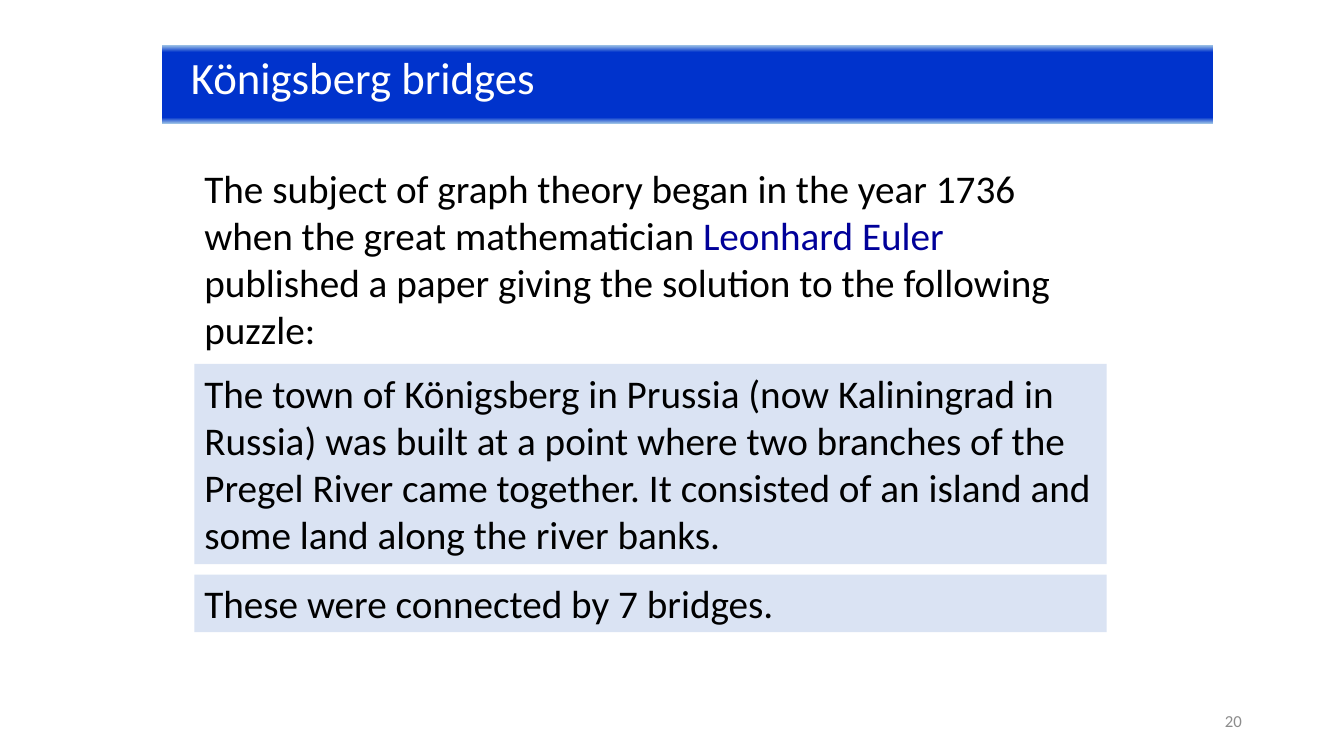
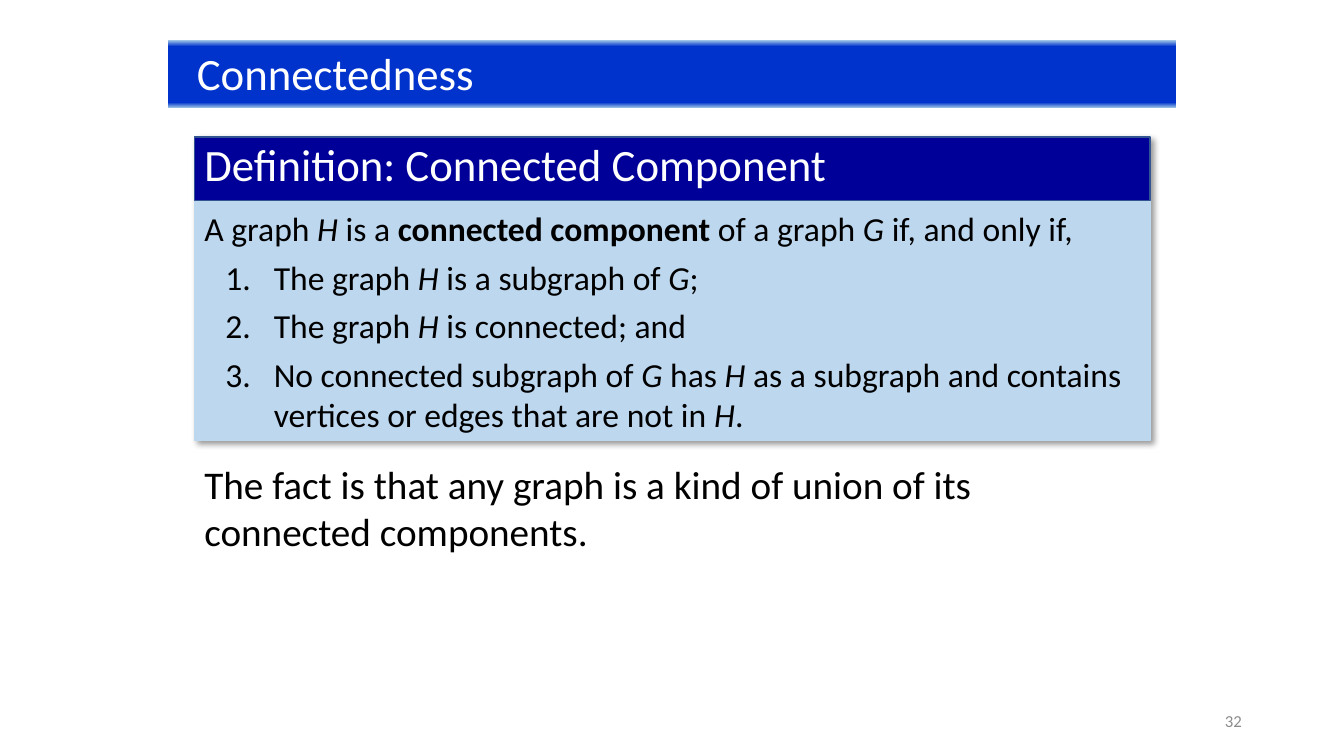
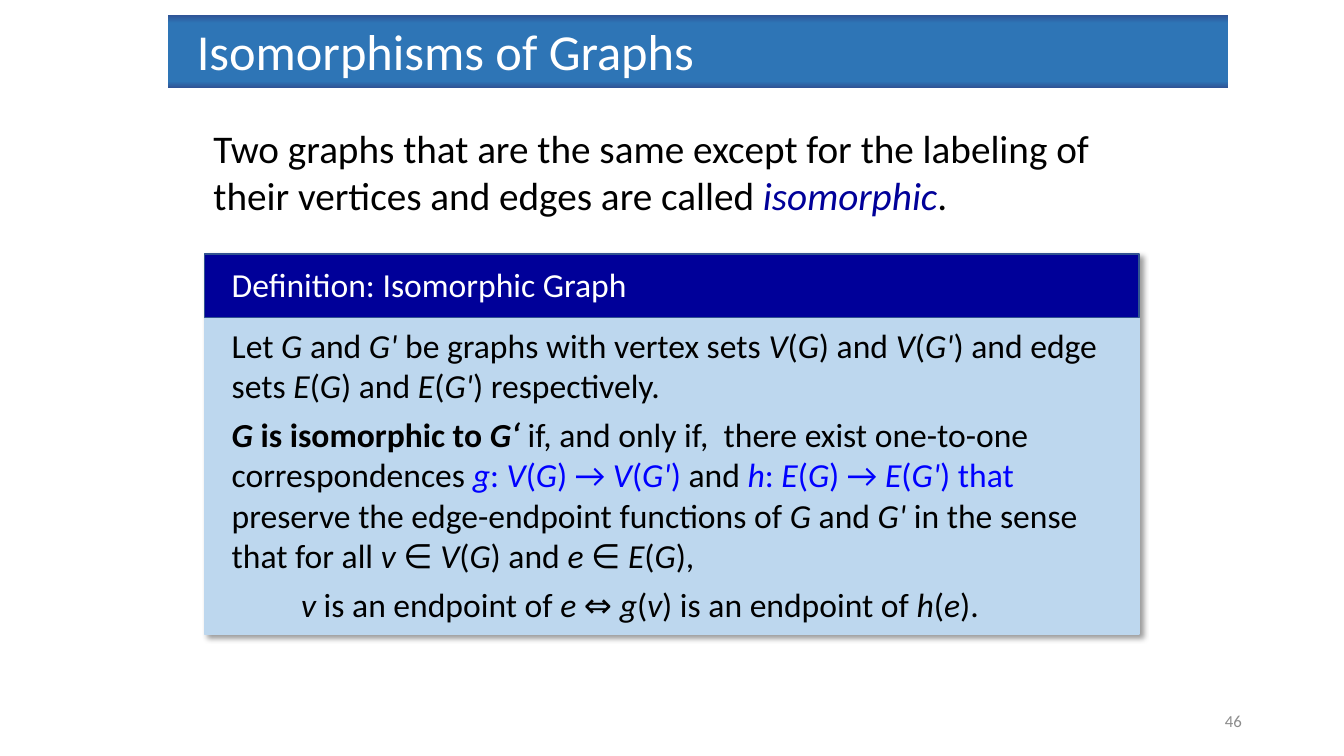
"""Build three slides on graph theory: bridges, connectedness and isomorphism."""
import dataclasses

import lxml.etree
import pptx
import pptx.dml.color
import pptx.enum.shapes
import pptx.enum.text
import pptx.oxml.ns
import pptx.util

Cm = pptx.util.Cm
Pt = pptx.util.Pt
qn = pptx.oxml.ns.qn


@dataclasses.dataclass(frozen=True)
class Theme:
    font: str = "Calibri"
    black: str = "000000"
    white: str = "FFFFFF"
    grey: str = "8C8C8C"
    navy: str = "000099"
    blue: str = "0000FF"
    pale: str = "DAE3F3"
    card: str = "BDD7EE"
    card_edge: str = "325491"
    royal_band: tuple = ((0, "9DC3E6"), (9, "0033CC"), (92, "0033CC"), (100, "9DC3E6"))
    steel_band: tuple = ((0, "2F5597"), (11, "2E75B6"), (91, "2E75B6"), (100, "2F5597"))
    title_size: int = 32
    large_title_size: int = 36
    body_size: int = 28
    card_size: int = 24
    number_size: int = 12


def rgb(color):
    return pptx.dml.color.RGBColor.from_string(color)


def add_node(parent, tag, **attributes):
    node = lxml.etree.SubElement(parent, qn(tag))
    for name, value in attributes.items():
        node.set(name, str(value))
    return node


class SlideBuilder:
    def __init__(self, theme):
        self.theme = theme
        self.deck = pptx.Presentation()
        self.deck.slide_width = Cm(33.87)
        self.deck.slide_height = Cm(19.05)
        self.page = None
        self.shapes = None

    def start_page(self, number):
        self.page = self.deck.slides.add_slide(self.deck.slide_layouts[6])
        self.shapes = self.page.shapes
        box = self.text((23.93, 17.65, 7.62, 1.02), [str(number)],
                        self.theme.number_size, self.theme.grey)
        box.text_frame.vertical_anchor = pptx.enum.text.MSO_ANCHOR.MIDDLE
        box.text_frame.paragraphs[0].alignment = pptx.enum.text.PP_ALIGN.RIGHT

    def rectangle(self, place, fill=None, edge=None):
        shape = self.shapes.add_shape(pptx.enum.shapes.MSO_SHAPE.RECTANGLE, *map(Cm, place))
        shape.shadow.inherit = False
        if fill:
            shape.fill.solid()
            shape.fill.fore_color.rgb = rgb(fill)
        if edge:
            shape.line.color.rgb = rgb(edge)
            shape.line.width = Pt(1)
        else:
            shape.line.fill.background()
        return shape

    def set_lines(self, shape, lines, size, color, accent=None, space_after=0):
        """Fill a shape with marked text: *bold*, ^accent^ and _italic_."""
        frame = shape.text_frame
        frame.word_wrap = True
        frame.vertical_anchor = pptx.enum.text.MSO_ANCHOR.TOP
        for index, line in enumerate(lines):
            para = frame.add_paragraph() if index else frame.paragraphs[0]
            para.alignment = pptx.enum.text.PP_ALIGN.LEFT
            para.space_after = Pt(space_after)
            text, layout = line if isinstance(line, tuple) else (line, "plain")
            self.indent(para, layout)
            for bold, bold_part in enumerate(text.split("*")):
                for tinted, tinted_part in enumerate(bold_part.split("^")):
                    for italic, piece in enumerate(tinted_part.split("_")):
                        if piece:
                            span = para.add_run()
                            span.text = piece
                            span.font.name = self.theme.font
                            span.font.size = Pt(size)
                            span.font.bold = bold % 2 == 1
                            span.font.italic = italic % 2 == 1
                            span.font.color.rgb = rgb(accent if tinted % 2 else color)

    def indent(self, para, layout):
        if layout == "plain":
            return
        properties = para._p.get_or_add_pPr()
        properties.set("marL", str(Cm(1.75)))
        if layout == "numbered":
            properties.set("indent", str(-Cm(1.22)))
            add_node(properties, "a:buAutoNum", type="arabicPeriod")

    def text(self, place, lines, size, color, accent=None, space_after=0):
        box = self.shapes.add_textbox(*map(Cm, place))
        self.set_lines(box, lines, size, color, accent, space_after)
        return box

    def body(self, place, line, space_after=0):
        self.text(place, [line], self.theme.body_size, self.theme.black,
                  self.theme.navy, space_after)

    def highlight(self, place, line):
        shape = self.rectangle(place, self.theme.pale)
        self.set_lines(shape, [line], self.theme.body_size, self.theme.black)

    def band(self, place, title, stops, size):
        shape = self.rectangle(place)
        shape.fill.gradient()
        shape.fill.gradient_angle = 270
        stop_list = shape._element.spPr.find(".//" + qn("a:gsLst"))
        for stop in list(stop_list):
            stop_list.remove(stop)
        for position, color in stops:
            stop = add_node(stop_list, "a:gs", pos=position * 1000)
            add_node(stop, "a:srgbClr", val=color)
        self.set_lines(shape, [title], size, self.theme.white)
        shape.text_frame.margin_left = Cm(0.72)

    def drop_shadow(self, shape):
        effects = shape._element.spPr.find(qn("a:effectLst"))
        shadow = add_node(effects, "a:outerShdw", blurRad=Pt(4), dist=Pt(3),
                          dir=45 * 60000, algn="tl", rotWithShape=0)
        color = add_node(shadow, "a:srgbClr", val=self.theme.black)
        add_node(color, "a:alpha", val=40000)

    def definition(self, place, heading, heading_size, heading_shift, inset, lines):
        theme = self.theme
        left, top, width, height = place
        text_left, text_width = left + inset, width - 2 * inset
        self.shapes = self.page.shapes.add_group_shape().shapes
        self.drop_shadow(self.rectangle(place, theme.card, theme.card))
        self.rectangle((left, top, width, 1.6), theme.navy, theme.card_edge)
        self.text((text_left, top + heading_shift, text_width, 1.6),
                  [heading], heading_size, theme.white)
        self.text((text_left, top + 1.66, text_width, height - 1.66),
                  lines, theme.card_size, theme.black, theme.blue, 6)
        self.shapes = self.page.shapes


def main():
    theme = Theme()
    builder = SlideBuilder(theme)

    builder.start_page(20)
    builder.band((4.09, 1.14, 26.49, 1.98), "Königsberg bridges",
                 theme.royal_band, theme.title_size)
    builder.body((4.9, 4.01, 22.99, 5.05),
                 "The subject of graph theory began in the year 1736 when the great "
                 "mathematician ^Leonhard Euler ^published a paper giving the solution "
                 "to the following puzzle:")
    builder.highlight((4.9, 9.17, 22.99, 5.05),
                      "The town of Königsberg in Prussia (now Kaliningrad in Russia) was "
                      "built at a point where two branches of the Pregel River came together. "
                      "It consisted of an island and some land along the river banks.")
    builder.highlight((4.9, 14.48, 22.99, 1.45), "These were connected by 7 bridges.")

    builder.start_page(32)
    builder.body((4.9, 11.48, 23.47, 2.64),
                 "The fact is that any graph is a kind of union of its connected components.", 6)
    builder.definition(
        (4.9, 3.45, 24.08, 7.65), "Definition: Connected Component",
        theme.title_size, -0.12, 0,
        ["A graph _H_ is a *connected component* of a graph _G_ if, and only if,",
         ("The graph _H_ is a subgraph of _G_;", "numbered"),
         ("The graph _H_ is connected; and", "numbered"),
         ("No connected subgraph of _G_ has _H_ as a subgraph and contains "
          "vertices or edges that are not in _H_.", "numbered")])
    builder.band((4.24, 1.02, 25.4, 1.7), "Connectedness",
                 theme.royal_band, theme.title_size)

    builder.start_page(46)
    builder.band((4.24, 0.38, 26.72, 1.83), "Isomorphisms of Graphs",
                 theme.steel_band, theme.large_title_size)
    builder.body((5.13, 3, 23.19, 2.64),
                 "Two graphs that are the same except for the labeling of their vertices "
                 "and edges are called ^_isomorphic_^.")
    builder.definition(
        (5.16, 6.4, 23.55, 9.58), "Definition: Isomorphic Graph",
        theme.card_size, 0.13, 0.43,
        ["Let _G_ and _G' _be graphs with vertex sets _V_(_G_) and _V_(_G'_) and edge "
         "sets _E_(_G_) and _E_(_G'_) respectively.",
         "*_G _is isomorphic to _G‘ _*if, and only if,  there exist one-to-one "
         "correspondences ^_g_: _V_(_G_) → _V_(_G'_) ^and ^_h_: _E_(_G_) → _E_(_G'_) that ^"
         "preserve the edge-endpoint functions of _G_ and _G'_ in the sense that for all "
         "_v _∈ _V_(_G_) and _e _∈_ E_(_G_),",
         ("_v _is an endpoint of _e _⇔ _g_(_v_) is an endpoint of _h_(_e_).", "indented")])

    builder.deck.save("out.pptx")


if __name__ == "__main__":
    main()
